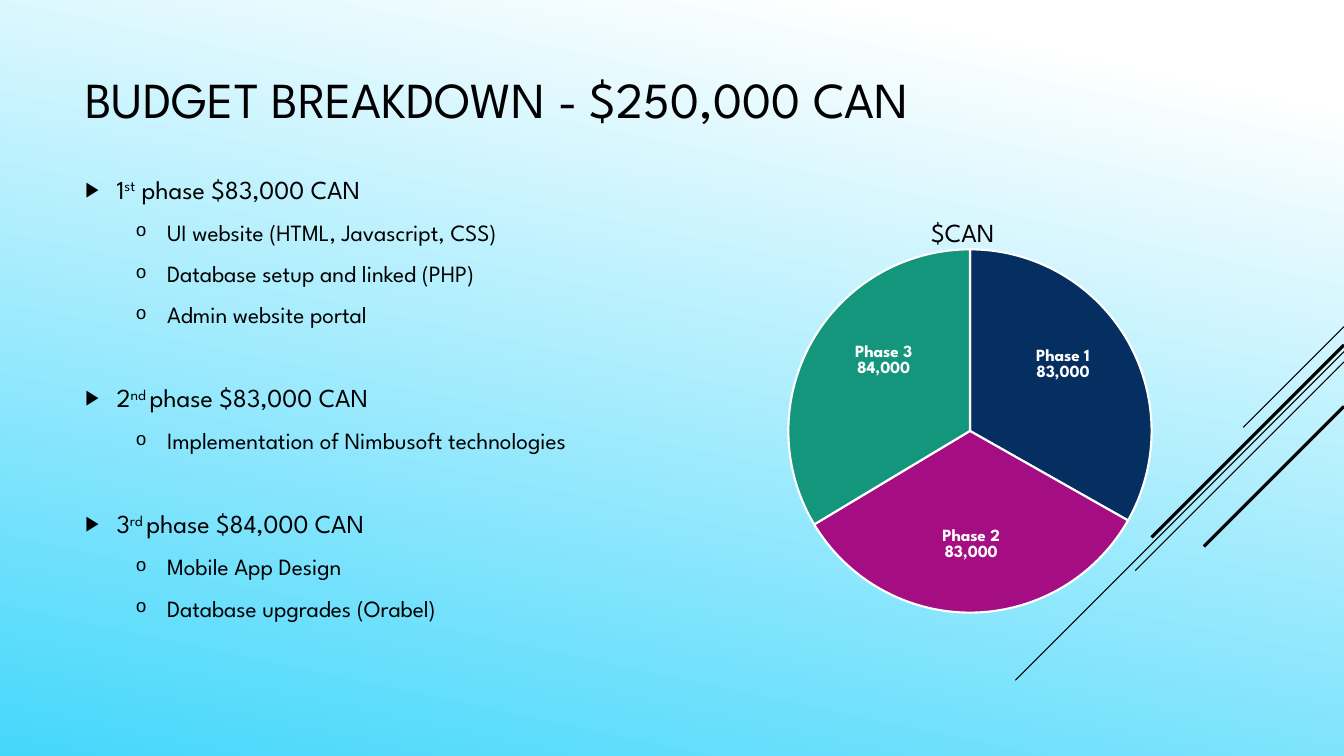
import pptx
import pptx.chart.data
import pptx.dml.color
import pptx.enum.chart
import pptx.enum.shapes
import pptx.enum.text
import pptx.oxml
import pptx.oxml.ns
import pptx.util
from pptx.util import Cm, Pt

FONT = "League Spartan"
COLOURS = {"text": "000000", "white": "FFFFFF", "sky": "45D7FB",
           "navy": "052F61", "purple": "A50E82", "green": "14967C"}

TITLE = "BUDGET BREAKDOWN - $250,000 CAN"
PHASES = [  # number, ordinal ending, rest of heading, items
    ("1", "st", " phase $83,000 CAN", ["UI website (HTML, Javascript, CSS)",
                                       "Database setup and linked (PHP)",
                                       "Admin website portal"]),
    ("2", "nd ", "phase $83,000 CAN", ["Implementation of Nimbusoft technologies"]),
    ("3", "rd ", "phase $84,000 CAN", ["Mobile App Design",
                                       "Database upgrades (Orabel)"]),
]
CHART_TITLE = "$CAN"
SLICES = [  # name, amount, colour, label shift as a share of the chart
    ("Phase 1", 83000, "navy", (0.02, -0.04)),
    ("Phase 2", 83000, "purple", (0, 0.05)),
    ("Phase 3", 84000, "green", (-0.01, -0.05)),
]
DIAGONALS = [  # start height on the right edge, run in cm, weight in points
    (8.23, 2.54, 0.75), (8.86, 8.28, 0.75), (9.12, 5.26, 0.75),
    (8.69, 4.85, 2.25), (10.24, 3.53, 2.25),
]
SLIDE_WIDTH, SLIDE_HEIGHT = 33.87, 19.05
HEADING = {"size": 18.5, "bullet": "▶", "bullet_font": "Arial", "indent": 0.79}
ITEM = {"size": 16.6, "bullet": "o", "bullet_font": "Courier New", "indent": 2.06}
HANGING = 0.79


def rgb(name):
    return pptx.dml.color.RGBColor.from_string(COLOURS[name])


def xml(tag, children="", **attributes):
    """Build a namespaced element from its tag, attributes and inner XML."""
    pairs = "".join(f' {key}="{value}"' for key, value in attributes.items())
    spaces = pptx.oxml.ns.nsdecls("a", "c")
    return pptx.oxml.parse_xml(f"<{tag} {spaces}{pairs}>{children}</{tag}>")


def style(font, size, colour="text", bold=False):
    font.name, font.size, font.bold = FONT, Pt(size), bold
    font.color.rgb = rgb(colour)


def add_run(para, text, size, raised=False):
    span = para.add_run()
    span.text = text
    style(span.font, size)
    if raised:
        span.font._rPr.set("baseline", "30000")


def add_text_box(page, left, top, width, height, anchor):
    box = page.shapes.add_textbox(Cm(left), Cm(top), Cm(width), Cm(height))
    box.text_frame.word_wrap = True
    box.text_frame.vertical_anchor = anchor
    return box.text_frame


def format_bullet(para, level, space_before):
    para.space_before, para.space_after = Pt(space_before), Pt(6)
    para.line_spacing = Pt(20)
    props = para._p.get_or_add_pPr()
    props.set("marL", str(Cm(level["indent"])))
    props.set("indent", str(-Cm(HANGING)))
    props.append(xml("a:buClr", f'<a:srgbClr val="{COLOURS["text"]}"/>'))
    props.append(xml("a:buSzPct", val=80000))
    props.append(xml("a:buFont", typeface=level["bullet_font"]))
    props.append(xml("a:buChar", char=level["bullet"]))


def manual_layout(x, y, **more):
    values = {"x": x, "y": y, **more}
    inner = "".join(f'<c:{key} val="{value}"/>' for key, value in values.items())
    return xml("c:layout", f"<c:manualLayout>{inner}</c:manualLayout>")


def edge_layout(x, y, size=None):
    """Layout measured from the chart's corner, with an optional width and height."""
    modes = {"xMode": "edge", "yMode": "edge"}
    if size:
        modes = {"layoutTarget": "inner", **modes}
    values = {**modes, "x": x, "y": y}
    if size:
        values.update(w=size[0], h=size[1])
    inner = "".join(f'<c:{key} val="{value}"/>' for key, value in values.items())
    return xml("c:layout", f"<c:manualLayout>{inner}</c:manualLayout>")


def replace_layout(parent, layout, position):
    for old in parent.findall(pptx.oxml.ns.qn("c:layout")):
        parent.remove(old)
    parent.insert(position, layout)


def paint_background(page):
    fill = page.background.fill
    fill.gradient()
    fill.gradient_angle = 258
    for stop, (position, colour) in zip(fill.gradient_stops,
                                        [(0.1, "white"), (1, "sky")]):
        stop.position = position
        stop.color.rgb = rgb(colour)


def draw_diagonals(page):
    for top, run, weight in DIAGONALS:
        line = page.shapes.add_connector(
            pptx.enum.shapes.MSO_CONNECTOR.STRAIGHT, Cm(SLIDE_WIDTH), Cm(top),
            Cm(SLIDE_WIDTH - run), Cm(top + run))
        line.line.color.rgb = rgb("text")
        line.line.width = Pt(weight)
        line._element.spPr.append(xml("a:effectLst"))


def write_phases(page):
    frame = add_text_box(page, 1.9, 3.73, 23.7, 12.45,
                         pptx.enum.text.MSO_ANCHOR.TOP)
    frame.margin_top = Cm(0.72)
    for index, (number, ending, rest, items) in enumerate(PHASES):
        para = frame.add_paragraph() if index else frame.paragraphs[0]
        format_bullet(para, HEADING, 34.4 if index else 0)
        add_run(para, number, HEADING["size"])
        add_run(para, ending, HEADING["size"], raised=True)
        add_run(para, rest, HEADING["size"])
        for item in items:
            para = frame.add_paragraph()
            format_bullet(para, ITEM, 3.5)
            add_run(para, item, ITEM["size"])


def draw_pie(page):
    data = pptx.chart.data.CategoryChartData(number_format="#,##0")
    data.categories = [name for name, *_ in SLICES]
    data.add_series(CHART_TITLE, [amount for _, amount, *_ in SLICES])
    chart = page.shapes.add_chart(
        pptx.enum.chart.XL_CHART_TYPE.PIE,
        Cm(15.29), Cm(4.57), Cm(18.31), Cm(12.22), data).chart
    style(chart.font, 10)
    chart.has_legend = False
    chart.has_title = True
    add_run(chart.chart_title.text_frame.paragraphs[0], CHART_TITLE, 18.6)

    series = chart.plots[0].series[0]
    for index, (_, _, colour, shift) in enumerate(SLICES):
        point = series.points[index]
        point.format.fill.solid()
        point.format.fill.fore_color.rgb = rgb(colour)
        point.format.line.color.rgb = rgb("white")
        point.format.line.width = Pt(1.5)
        label = point.data_label
        style(label.font, 12.2, "white", bold=True)
        label.position = pptx.enum.chart.XL_LABEL_POSITION.CENTER
        node = chart._chartSpace.xpath(f'.//c:dLbl[c:idx/@val="{index}"]')[0]
        node.find(pptx.oxml.ns.qn("c:showCatName")).set("val", "1")
        node.append(xml("c:separator", "\n"))
        replace_layout(node, manual_layout(*shift), 1)

    title = chart._chartSpace.xpath("c:chart/c:title")[0]
    replace_layout(title, edge_layout(0.44, 0.07), 1)
    plot_area = chart._chartSpace.xpath("c:chart/c:plotArea")[0]
    replace_layout(plot_area, edge_layout(0.25, 0.14, (0.5, 0.75)), 0)


def main():
    deck = pptx.Presentation()
    deck.slide_width, deck.slide_height = Cm(SLIDE_WIDTH), Cm(SLIDE_HEIGHT)
    page = deck.slides.add_slide(deck.slide_layouts[6])
    paint_background(page)
    draw_diagonals(page)
    title = add_text_box(page, 1.9, 0.38, 23.7, 4.19,
                         pptx.enum.text.MSO_ANCHOR.MIDDLE)
    add_run(title.paragraphs[0], TITLE, 36)
    write_phases(page)
    draw_pie(page)
    deck.save("out.pptx")


if __name__ == "__main__":
    main()
